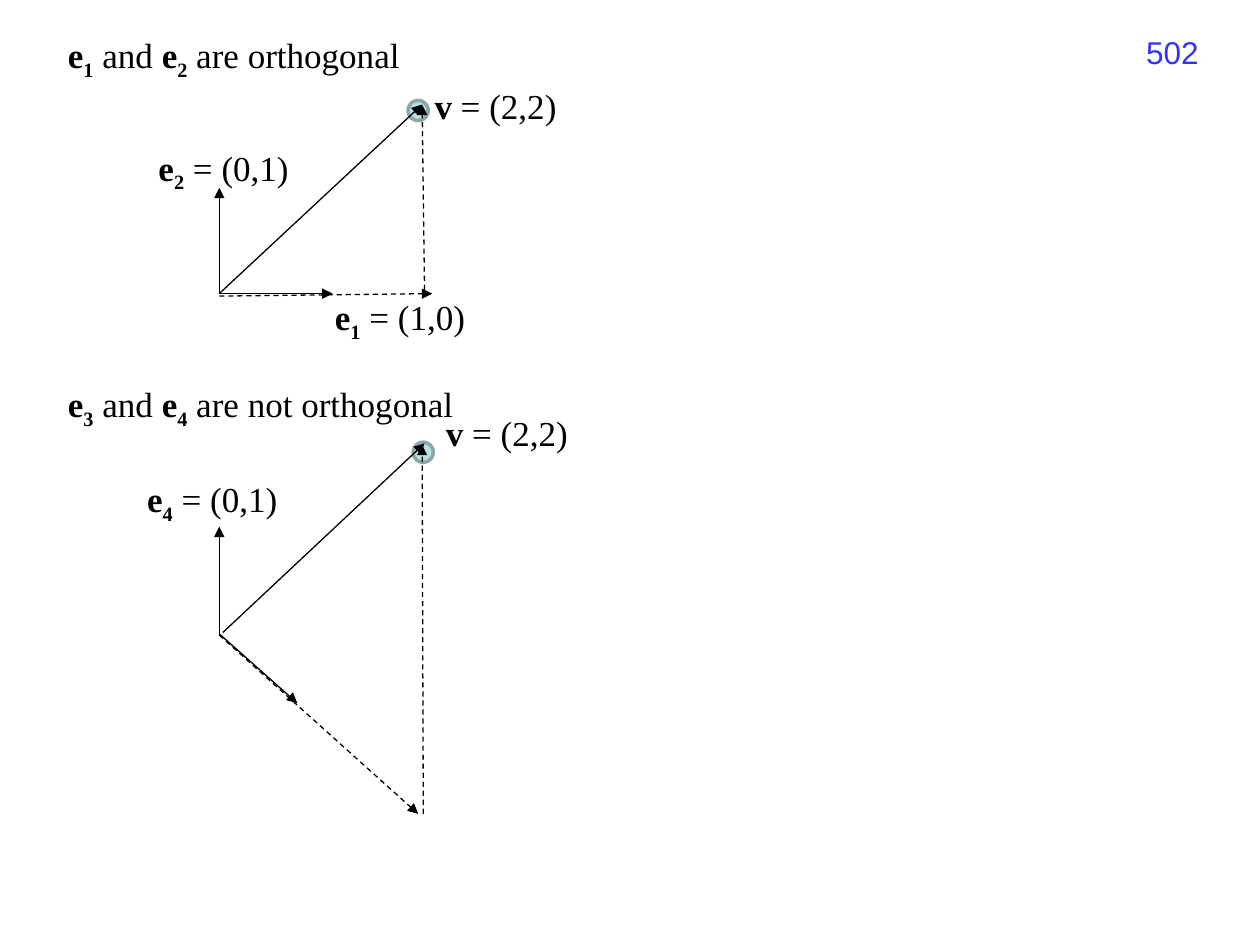
from lxml import etree
from pptx import Presentation
from pptx.dml.color import RGBColor
from pptx.enum.dml import MSO_LINE
from pptx.enum.shapes import MSO_CONNECTOR, MSO_SHAPE
from pptx.enum.text import MSO_AUTO_SIZE, PP_ALIGN
from pptx.oxml.ns import qn
from pptx.util import Pt

BLACK = RGBColor(0x00, 0x00, 0x00)
BLUE = RGBColor(0x33, 0x33, 0xFF)
DOT_FILL = RGBColor(0xBB, 0xE0, 0xE3)
DOT_EDGE = RGBColor(0x8A, 0xA6, 0xA8)
DASH = MSO_LINE.DASH
STRAIGHT = MSO_CONNECTOR.STRAIGHT
OVAL = MSO_SHAPE.OVAL
LEFT = PP_ALIGN.LEFT
RIGHT = PP_ALIGN.RIGHT
GROW = MSO_AUTO_SIZE.SHAPE_TO_FIT_TEXT
NO_FIT = MSO_AUTO_SIZE.NONE

DOT_SIZE = 11.5
LABEL_HEIGHT = 31.7
UNIT_LABEL_WIDTH = 93.6
POINT_LABEL_WIDTH = 102.2
ORIGIN_X = 125.3


def add_label(slide, text, left, top, width, height=LABEL_HEIGHT, font="Times New Roman",
              size=20, color=BLACK, align=LEFT, wrap=True, fit=GROW):
    """Add a text box; names between bars are bold vectors with subscript digits."""
    label = slide.shapes.add_textbox(Pt(left), Pt(top), Pt(width), Pt(height))
    frame = label.text_frame
    frame.word_wrap = wrap
    frame.auto_size = fit
    paragraph = frame.paragraphs[0]
    paragraph.alignment = align
    for index, piece in enumerate(text.split("|")):
        is_vector = index % 2 == 1
        parts = (piece[:1], piece[1:]) if is_vector else (piece,)
        for position, part in enumerate(parts):
            if not part:
                continue
            run = paragraph.add_run()
            run.text = part
            run.font.name = font
            run.font.size = Pt(size)
            run.font.bold = is_vector
            run.font.color.rgb = color
            if position == 1:
                run.font._element.set("baseline", "-25000")


def add_vector(slide, start, end, dash=None):
    """Draw a thin arrow from start to end."""
    vector = slide.shapes.add_connector(STRAIGHT, *map(Pt, start + end))
    vector.line.color.rgb = BLACK
    vector.line.width = Pt(0.75)
    if dash is not None:
        vector.line.dash_style = dash
    properties = vector._element.spPr
    arrowhead = etree.SubElement(properties.find(qn("a:ln")), qn("a:tailEnd"))
    arrowhead.set("type", "triangle")
    etree.SubElement(properties, qn("a:effectLst"))


def add_dot(slide, left, top):
    """Mark the point that the vector v reaches."""
    dot = slide.shapes.add_shape(OVAL, Pt(left), Pt(top), Pt(DOT_SIZE), Pt(DOT_SIZE))
    dot.shadow.inherit = False
    dot.fill.solid()
    dot.fill.fore_color.rgb = DOT_FILL
    dot.line.color.rgb = DOT_EDGE
    dot.line.width = Pt(2)


def add_diagram(slide, dot, solid, dashed):
    """Draw the point, the basis vectors and the dashed components."""
    add_dot(slide, *dot)
    for start, end in solid:
        add_vector(slide, start, end)
    for start, end in dashed:
        add_vector(slide, start, end, dash=DASH)


def main():
    """Build the slide on orthogonal and non-orthogonal bases."""
    deck = Presentation()
    deck.slide_width, deck.slide_height = Pt(720), Pt(540)
    slide = deck.slides.add_slide(deck.slide_layouts[6])

    add_label(slide, "502", 524.2, 15.1, 167.8, 37.4, font="Arial", size=18,
              color=BLUE, align=RIGHT, fit=NO_FIT)

    origin = (ORIGIN_X, 167.8)
    add_diagram(
        slide, (233.2, 57.4),
        solid=[(origin, (241.2, 59.8)), (origin, (190.1, 167.8)), (origin, (ORIGIN_X, 107.3))],
        dashed=[((ORIGIN_X, 169.2), (247, 167.8)), ((242.6, 165.6), (241.2, 59.8))])

    skew_origin = (ORIGIN_X, 362.2)
    add_diagram(
        slide, (236.1, 252.7),
        solid=[((127.4, 361.4), (242.6, 253.4)), (skew_origin, (169.9, 401.8)),
               (skew_origin, (ORIGIN_X, 301))],
        dashed=[((241.9, 465.1), (241.2, 254.2)), ((ORIGIN_X, 362.9), (239, 465.1))])

    for left, top in ((241.2, 44.6), (247.7, 231.8)):
        add_label(slide, "|v| = (2,2)", left, top, POINT_LABEL_WIDTH)
    for text, left, top in (("|e1| = (1,0)", 184.3, 165.6),
                            ("|e2| = (0,1)", 83.5, 79.9),
                            ("|e4| = (0,1)", 77, 269.3)):
        add_label(slide, text, left, top, UNIT_LABEL_WIDTH)
    for text, top, width in (("|e1| and |e2| are orthogonal", 15.8, 215.3),
                             ("|e3| and |e4| are not orthogonal", 215.3, 243.4)):
        add_label(slide, text, 31.7, top, width, wrap=False)

    deck.save("out.pptx")


if __name__ == "__main__":
    main()
